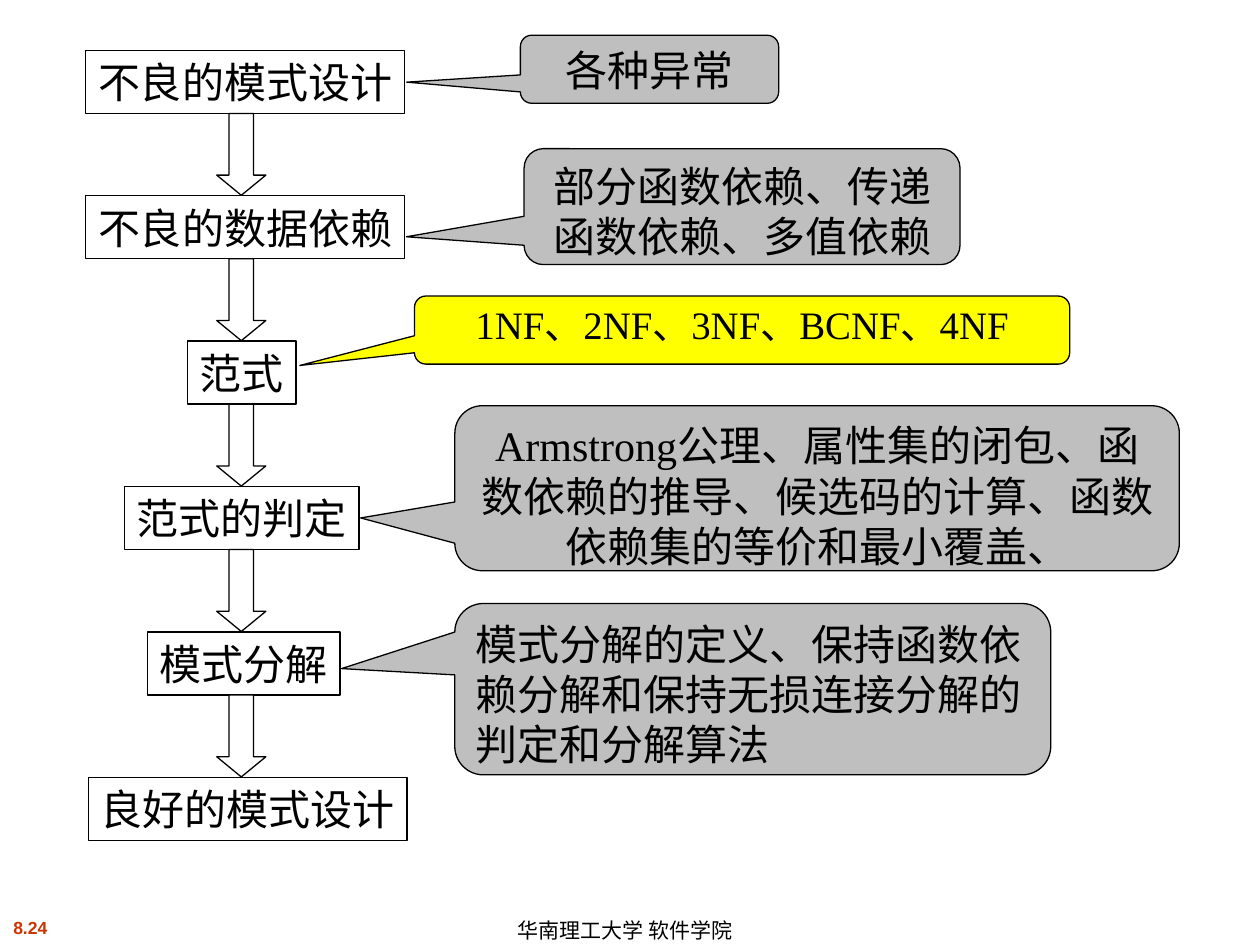
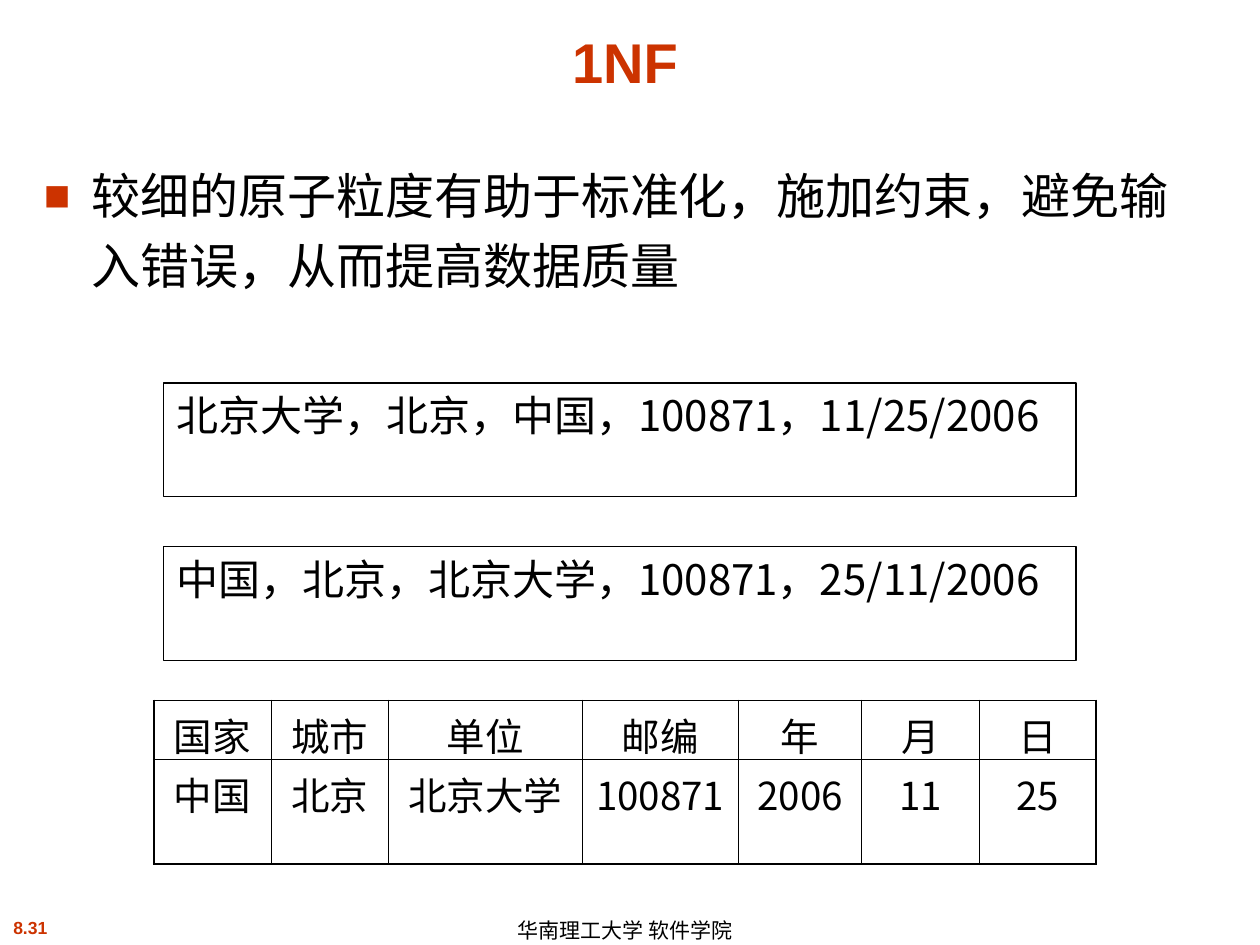
from dataclasses import dataclass, field
from typing import Any

from lxml.etree import SubElement
from pptx import Presentation
from pptx.dml.color import RGBColor
from pptx.enum.shapes import MSO_SHAPE
from pptx.enum.text import MSO_ANCHOR, MSO_AUTO_SIZE, PP_ALIGN
from pptx.oxml.ns import qn
from pptx.util import Inches, Pt

COLORS = {
    "black": "000000",
    "white": "FFFFFF",
    "accent": "CC3300",
    "note": "BFBFBF",
    "highlight": "FFFF00",
}
CJK_FONT = "Noto Sans CJK JP"
SERIF_FONT = "Times New Roman"
SANS_FONT = "Arial"
LINE_WIDTH = Pt(0.75)
THICK, THIN = Pt(1.08), Pt(0.45)


@dataclass(frozen=True)
class TextStyle:
    font: dict[str, Any]
    color: str = "black"
    paragraph: dict[str, Any] = field(default_factory=dict)
    frame: dict[str, Any] = field(default_factory=dict)


@dataclass(frozen=True)
class Step:
    text: str
    left: float
    width: float


@dataclass(frozen=True)
class Callout:
    text: str
    place: tuple[float, float, float, float]
    tip: tuple[float, float]
    style: TextStyle
    fill: str = "note"


CENTER = {"alignment": PP_ALIGN.CENTER}
LEFT = {"alignment": PP_ALIGN.LEFT}
WRAPPED = {"word_wrap": True, "vertical_anchor": MSO_ANCHOR.TOP}
GROWING = {**WRAPPED, "auto_size": MSO_AUTO_SIZE.SHAPE_TO_FIT_TEXT}
ONE_LINE = {"word_wrap": False, "vertical_anchor": MSO_ANCHOR.MIDDLE}
SLIM_SIDES = {"margin_left": Inches(0.05), "margin_right": Inches(0.05)}
SERIF_24 = {"name": SERIF_FONT, "size": Pt(24)}

PAGE_NUMBER = TextStyle({"name": SANS_FONT, "size": Pt(10), "bold": True}, "accent", CENTER,
                        {**GROWING, "word_wrap": False})
FOOTER = TextStyle({"name": SANS_FONT, "size": Pt(12)}, "black",
                   {**LEFT, "line_spacing": 1.1}, ONE_LINE)
TITLE = TextStyle({"name": SANS_FONT, "size": Pt(32), "bold": True}, "accent", CENTER,
                  {"vertical_anchor": MSO_ANCHOR.BOTTOM, "auto_size": MSO_AUTO_SIZE.NONE})
BODY = TextStyle({"name": SANS_FONT, "size": Pt(28)}, "black",
                 {**LEFT, "line_spacing": 1.2}, WRAPPED)
STEP = TextStyle(SERIF_24, "black", CENTER,
                 {**ONE_LINE, **SLIM_SIDES, "auto_size": MSO_AUTO_SIZE.NONE})
NOTE = TextStyle(SERIF_24, "black", CENTER, WRAPPED)
LEFT_NOTE = TextStyle(SERIF_24, "black", LEFT, WRAPPED)
NORMAL_FORMS = TextStyle({"name": SERIF_FONT, "size": Pt(22.2)}, "black",
                         {**CENTER, "line_spacing": 0.9}, WRAPPED)
RECORD = TextStyle({"name": CJK_FONT, "size": Pt(24)}, "black", LEFT, GROWING)
HEADER_CELL = TextStyle({"name": SANS_FONT, "size": Pt(22)}, "black", CENTER)
VALUE_CELL = TextStyle({"name": CJK_FONT, "size": Pt(22)}, "black", CENTER)

STEP_TOP, STEP_HEIGHT, LAST_STEP_TOP = 0.4, 0.5, 6.17
ARROW_LEFT, ARROW_WIDTH, ARROW_HEIGHT = 1.72, 0.39, 0.65
STEPS = [
    Step("不良的模式设计", 0.68, 2.53),
    Step("不良的数据依赖", 0.68, 2.53),
    Step("范式", 1.49, 0.86),
    Step("范式的判定", 0.99, 1.86),
    Step("模式分解", 1.17, 1.53),
    Step("良好的模式设计", 0.7, 2.53),
]
CALLOUTS = [
    Callout("各种异常", (4.13, 0.28, 2.05, 0.54), (-0.94, 0.19), NOTE),
    Callout("部分函数依赖、传递函数依赖、多值依赖",
            (4.16, 1.18, 3.46, 0.92), (-0.77, 0.26), NOTE),
    Callout("1NF、2NF、3NF、BCNF、4NF",
            (3.29, 2.35, 5.2, 0.54), (-0.675, 0.52), NORMAL_FORMS, "highlight"),
    Callout("Armstrong公理、属性集的闭包、函数依赖的推导、候选码的计算、函数依赖集的等价和最小覆盖、",
            (3.61, 3.22, 5.75, 1.31), (-0.63, 0.18), NOTE),
    Callout("模式分解的定义、保持函数依赖分解和保持无损连接分解的判定和分解算法",
            (3.61, 4.79, 4.73, 1.36), (-0.69, -0.12), LEFT_NOTE),
]

RECORDS = ["北京大学，北京，中国，100871，11/25/2006",
           "中国，北京，北京大学，100871，25/11/2006"]
ATOMIC_ROWS = [
    ["国家", "城市", "单位", "邮编", "年", "月", "日"],
    ["中国", "北京", "北京大学", "100871", "2006", "11", "25"],
]
COLUMN_WIDTHS = [0.93, 0.93, 1.54, 1.24, 0.98, 0.93, 0.93]
ROW_HEIGHTS = [0.47, 0.83]


def rgb(name: str) -> RGBColor:
    return RGBColor.from_string(COLORS[name])


def inches(*lengths: float) -> list[Inches]:
    return [Inches(length) for length in lengths]


def apply(target, values: dict[str, Any]) -> None:
    for name, value in values.items():
        setattr(target, name, value)


def write(frame, text: str, style: TextStyle) -> None:
    apply(frame, style.frame)
    paragraph = frame.paragraphs[0]
    apply(paragraph, style.paragraph)
    run = paragraph.add_run()
    run.text = text
    apply(run.font, style.font)
    run.font.color.rgb = rgb(style.color)
    SubElement(run.font._element, qn("a:ea"), typeface=CJK_FONT)


def add_text(slide, place: tuple[float, ...], text: str, style: TextStyle):
    box = slide.shapes.add_textbox(*inches(*place))
    write(box.text_frame, text, style)
    return box


def add_outlined(slide, kind: MSO_SHAPE, place: tuple[float, ...], fill: str | None = "white"):
    """Add a black-outlined preset shape, unfilled when fill is None."""
    shape = slide.shapes.add_shape(kind, *inches(*place))
    shape.shadow.inherit = False
    if fill:
        shape.fill.solid()
        shape.fill.fore_color.rgb = rgb(fill)
    else:
        shape.fill.background()
    shape.line.color.rgb = rgb("black")
    shape.line.width = LINE_WIDTH
    return shape


def add_footer(slide, number: str) -> None:
    add_text(slide, (-0.25, 7.23, 0.98, 0.27), number, PAGE_NUMBER)
    add_text(slide, (4.01, 7.25, 2.24, 0.25), "华南理工大学 软件学院", FOOTER)


def add_square_bullet(paragraph) -> None:
    properties = paragraph._p.get_or_add_pPr()
    hang = Inches(0.38)
    properties.set("marL", str(hang))
    properties.set("indent", str(-hang))
    bullet_color = SubElement(properties, qn("a:buClr"))
    SubElement(bullet_color, qn("a:srgbClr"), val=COLORS["accent"])
    SubElement(properties, qn("a:buSzPct"), val="90000")
    SubElement(properties, qn("a:buFont"), typeface=SANS_FONT)
    SubElement(properties, qn("a:buChar"), char="■")


def set_borders(cell, widths: dict[str, Pt]) -> None:
    """Draw the cell's edges; must precede its fill, which follows in the XML."""
    properties = cell._tc.get_or_add_tcPr()
    for side, width in widths.items():
        edge = SubElement(properties, qn(f"a:ln{side}"), w=str(width))
        SubElement(SubElement(edge, qn("a:solidFill")), qn("a:srgbClr"), val=COLORS["black"])


def add_atomic_table(slide) -> None:
    last_row, last_column = len(ROW_HEIGHTS) - 1, len(COLUMN_WIDTHS) - 1
    place = inches(1.22, 5.56, sum(COLUMN_WIDTHS), sum(ROW_HEIGHTS))
    table = slide.shapes.add_table(last_row + 1, last_column + 1, *place).table
    apply(table, {"first_row": False, "horz_banding": False})
    for column, width in zip(table.columns, COLUMN_WIDTHS):
        column.width = Inches(width)
    for row, height in zip(table.rows, ROW_HEIGHTS):
        row.height = Inches(height)
    for r, values in enumerate(ATOMIC_ROWS):
        for c, value in enumerate(values):
            cell = table.cell(r, c)
            write(cell.text_frame, value, VALUE_CELL if r else HEADER_CELL)
            outer = {"L": c == 0, "R": c == last_column, "T": r == 0, "B": r == last_row}
            set_borders(cell, {side: THICK if edge else THIN for side, edge in outer.items()})
            cell.fill.background()


def build_design_flow(slide) -> None:
    add_footer(slide, "8.24")
    pitch = (LAST_STEP_TOP - STEP_TOP) / (len(STEPS) - 1)
    tops = [STEP_TOP + pitch * i for i in range(len(STEPS))]
    for step, top in zip(STEPS, tops):
        box = add_outlined(slide, MSO_SHAPE.RECTANGLE, (step.left, top, step.width, STEP_HEIGHT))
        write(box.text_frame, step.text, STEP)
    for callout in CALLOUTS:
        bubble = add_outlined(slide, MSO_SHAPE.ROUNDED_RECTANGULAR_CALLOUT,
                              callout.place, callout.fill)
        bubble.adjustments[0], bubble.adjustments[1] = callout.tip
        write(bubble.text_frame, callout.text, callout.style)
    for top in tops[:-1]:
        arrow = add_outlined(slide, MSO_SHAPE.DOWN_ARROW,
                             (ARROW_LEFT, top + STEP_HEIGHT, ARROW_WIDTH, ARROW_HEIGHT))
        arrow.adjustments[1] = 0.41


def build_first_normal_form(slide) -> None:
    add_footer(slide, "8.31")
    title = slide.shapes.title
    apply(title, dict(zip(("left", "top", "width", "height"), inches(0.25, 0.13, 9.42, 0.67))))
    write(title.text_frame, "1NF", TITLE)
    benefit = add_text(slide, (0.25, 1.17, 9.42, 1.5),
                       "较细的原子粒度有助于标准化，施加约束，避免输入错误，从而提高数据质量", BODY)
    add_square_bullet(benefit.text_frame.paragraphs[0])
    for i, record in enumerate(RECORDS):
        box = add_outlined(slide, MSO_SHAPE.RECTANGLE, (1.3, 3.04 + 1.3 * i, 7.24, 0.9), None)
        write(box.text_frame, record, RECORD)
    add_atomic_table(slide)


def main() -> None:
    deck = Presentation()
    deck.slide_width, deck.slide_height = inches(10, 7.5)
    title_only, blank = deck.slide_layouts[5], deck.slide_layouts[6]
    build_design_flow(deck.slides.add_slide(blank))
    build_first_normal_form(deck.slides.add_slide(title_only))
    deck.save("out.pptx")


if __name__ == "__main__":
    main()
